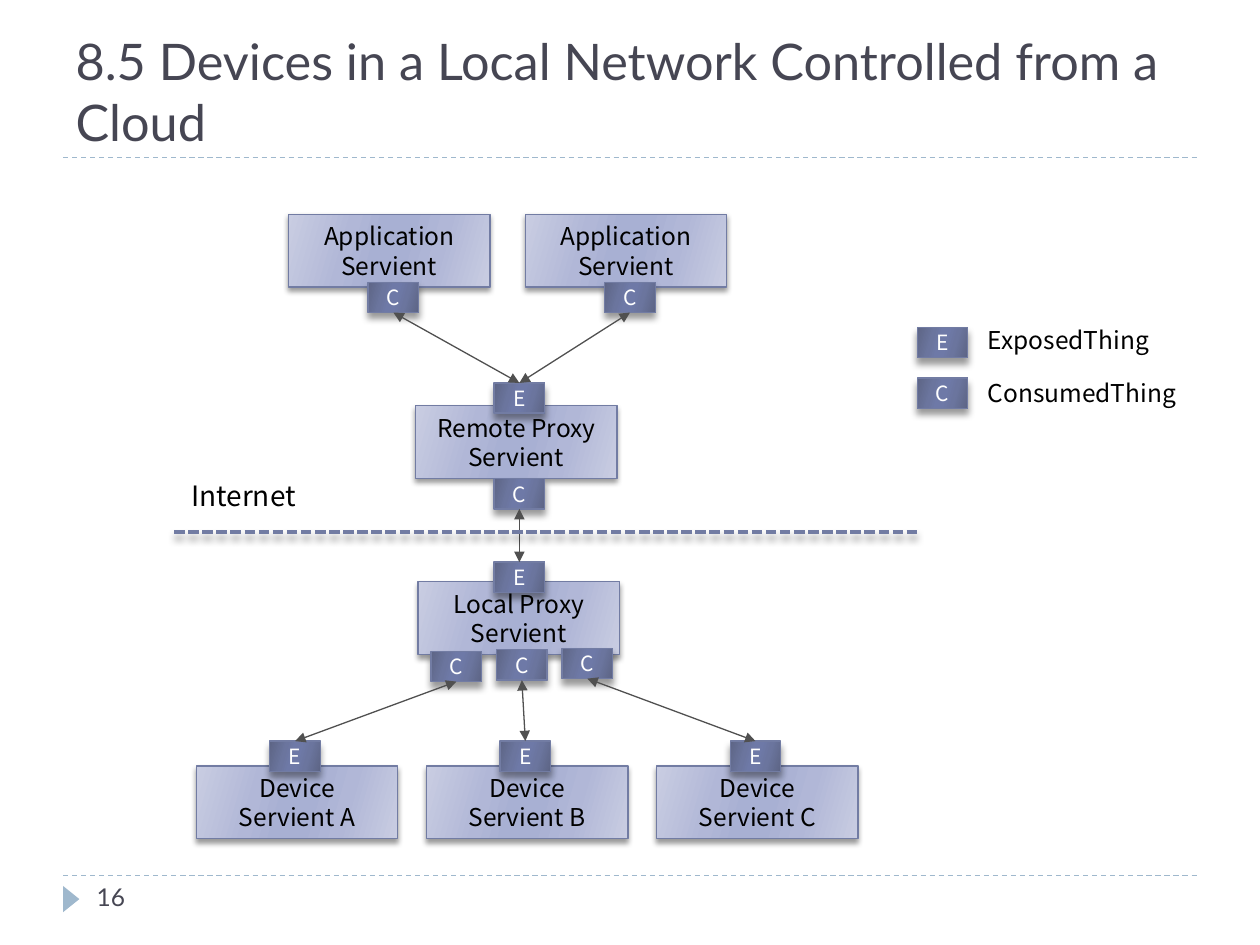
from dataclasses import dataclass

from lxml import etree
from pptx import Presentation
from pptx.dml.color import RGBColor
from pptx.enum import dml, shapes, text
from pptx.oxml.ns import qn
from pptx.util import Cm, Pt


@dataclass(frozen=True)
class Theme:
    heading_font: str = "Lato"
    body_font: str = "Noto Sans CJK JP"
    heading: str = "464653"
    body: str = "000000"
    light: str = "FFFFFF"
    rule: str = "9FB8CD"
    accent: str = "727CA3"
    arrow: str = "505050"
    box_stops: tuple = ("C9CDE2", "B1B7D7", "A8B0D3")
    port_stops: tuple = ("5D6585", "6B759E", "6E79A7")
    title_size: float = 28.8
    internet_size: float = 16
    label_size: float = 14
    port_size: float = 12


T = Theme()
BOX_W, BOX_H = 4.06, 1.47
PORT_W, PORT_H = 1.02, 0.61
TOP, BOTTOM = 0, 2  # connection sites of a rectangle
BOX_SHADOW = (3, 2)
PORT_SHADOW = (4, 3.4)


def rgb(value):
    return RGBColor.from_string(value)


def write(tf, words, **options):
    """Put one paragraph in a text frame; options override the defaults."""
    fmt = dict(size=T.label_size, name=T.body_font, color=T.body, wrap=True,
               anchor=text.MSO_ANCHOR.TOP, align=text.PP_ALIGN.LEFT)
    fmt.update(options)
    frame = dict(word_wrap=fmt["wrap"], vertical_anchor=fmt["anchor"],
                 auto_size=text.MSO_AUTO_SIZE.NONE)
    for key, value in frame.items():
        setattr(tf, key, value)
    p = tf.paragraphs[0]
    p.alignment = fmt["align"]
    r = p.add_run()
    r.text = words
    for key, value in dict(size=Pt(fmt["size"]), name=fmt["name"]).items():
        setattr(r.font, key, value)
    r.font.color.rgb = rgb(fmt["color"])


def add_label(s, words, left, top, width, height, **options):
    box = s.shapes.add_textbox(Cm(left), Cm(top), Cm(width), Cm(height))
    write(box.text_frame, words, **options)


def add_shadow(effects, blur, distance):
    shadow = etree.SubElement(effects, qn("a:outerShdw"), blurRad=str(Pt(blur)),
                              dist=str(Pt(distance)), dir="5400000", rotWithShape="0")
    color = etree.SubElement(shadow, qn("a:srgbClr"), val="000000")
    etree.SubElement(color, qn("a:alpha"), val="40000")


def fill_gradient(sp, stops):
    """Fill with a gradient that mirrors its three colours about the middle."""
    sp.fill.gradient()
    sp.fill.gradient_angle = 344
    stop_list = sp._element.spPr.find(qn("a:gradFill")).find(qn("a:gsLst"))
    for stop in list(stop_list):
        stop_list.remove(stop)
    for place, color in zip((0, 30, 45, 55, 73, 100), stops + stops[::-1]):
        stop = etree.SubElement(stop_list, qn("a:gs"), pos=str(place * 1000))
        etree.SubElement(stop, qn("a:srgbClr"), val=color)


def add_block(s, words, left, top, width, height, stops, shadow, **options):
    sp = s.shapes.add_shape(shapes.MSO_SHAPE.RECTANGLE,
                            Cm(left), Cm(top), Cm(width), Cm(height))
    fill_gradient(sp, stops)
    sp.line.color.rgb = rgb(T.accent)
    sp.line.width = Pt(0.75)
    sp.shadow.inherit = False
    add_shadow(sp._element.spPr.find(qn("a:effectLst")), *shadow)
    write(sp.text_frame, words, anchor=text.MSO_ANCHOR.MIDDLE,
          align=text.PP_ALIGN.CENTER, **options)
    return sp


def add_servient(s, words, left, top):
    return add_block(s, words, left, top, BOX_W, BOX_H, T.box_stops, BOX_SHADOW)


def add_port(s, letter, left, top):
    return add_block(s, letter, left, top, PORT_W, PORT_H, T.port_stops, PORT_SHADOW,
                     size=T.port_size, color=T.light, wrap=False)


def add_line(s, x1, y1, x2, y2, color, width=0.75, dash=None, shadow=None):
    line = s.shapes.add_connector(shapes.MSO_CONNECTOR.STRAIGHT,
                                  Cm(x1), Cm(y1), Cm(x2), Cm(y2))
    line.line.color.rgb = rgb(color)
    line.line.width = Pt(width)
    if dash:
        line.line.dash_style = dash
    effects = etree.SubElement(line._element.spPr, qn("a:effectLst"))
    if shadow:
        add_shadow(effects, *shadow)
    return line


def link(s, exposed, consumed):
    """Join the top of an E port to the bottom of a C port, arrows at both ends."""
    line = add_line(s, 0, 0, 0, 0, T.arrow)
    line.begin_connect(exposed, TOP)
    line.end_connect(consumed, BOTTOM)
    for end in ("a:headEnd", "a:tailEnd"):
        etree.SubElement(line.get_or_add_ln(), qn(end), type="triangle")


def add_frame(s):
    """Title, the two dashed rules and the page number with its marker."""
    for y in (17.65, 3.18):
        add_line(s, 1.27, y, 24.13, y, T.rule, dash=dml.MSO_LINE.DASH)
    marker = s.shapes.add_shape(shapes.MSO_SHAPE.ISOSCELES_TRIANGLE,
                                Cm(1.17), Cm(17.96), Cm(0.53), Cm(0.33))
    marker.rotation = 90
    marker.fill.solid()
    marker.fill.fore_color.rgb = rgb(T.rule)
    marker.line.fill.background()
    marker.shadow.inherit = False

    title = s.shapes.title
    place = dict(left=1.27, top=0.64, width=22.86, height=2.54)
    for key, value in place.items():
        setattr(title, key, Cm(value))
    write(title.text_frame, "8.5 Devices in a Local Network Controlled from a Cloud",
          size=T.title_size, name=T.heading_font, color=T.heading,
          anchor=text.MSO_ANCHOR.BOTTOM)
    add_label(s, "16", 1.7, 17.65, 5.51, 1.02, name=T.heading_font, color=T.heading)


def add_legend(s):
    entries = (("E", "ExposedThing", 6.6, 6.43), ("C", "ConsumedThing", 7.62, 7.49))
    for letter, words, port_top, label_top in entries:
        add_port(s, letter, 18.49, port_top)
        add_label(s, words, 19.66, label_top, 4.45, 0.86, wrap=False)


def add_network(s):
    apps = []
    for left in (5.82, 10.59):
        add_servient(s, "Application Servient", left, 4.32)
        apps.append(add_port(s, "C", left + 1.6, 5.69))

    add_servient(s, "Remote Proxy Servient", 8.38, 8.18)
    add_servient(s, "Local Proxy Servient", 8.43, 11.73)
    remote_in, remote_out, local_in = [
        add_port(s, letter, 9.96, top)
        for letter, top in (("E", 7.72), ("C", 9.65), ("E", 11.33))]
    for app in apps:
        link(s, remote_in, app)
    link(s, local_in, remote_out)

    for i, name in enumerate("ABC"):
        left = 3.96 + 4.64 * i
        add_servient(s, f"Device Servient {name}", left, 15.44)
        device = add_port(s, "E", left + 1.48, 14.94)
        local_out = add_port(s, "C", 8.69 + 1.32 * i, 13.13 - 0.03 * i)
        link(s, device, local_out)

    add_line(s, 3.51, 10.72, 18.49, 10.72, T.accent, width=2,
             dash=dml.MSO_LINE.SQUARE_DOT, shadow=PORT_SHADOW)
    add_label(s, "Internet", 3.61, 9.53, 2.77, 0.94, size=T.internet_size)


def main():
    prs = Presentation()
    prs.slide_width, prs.slide_height = Cm(25.4), Cm(19.05)
    s = prs.slides.add_slide(prs.slide_layouts[5])
    add_frame(s)
    add_network(s)
    add_legend(s)
    prs.save("out.pptx")


if __name__ == "__main__":
    main()
